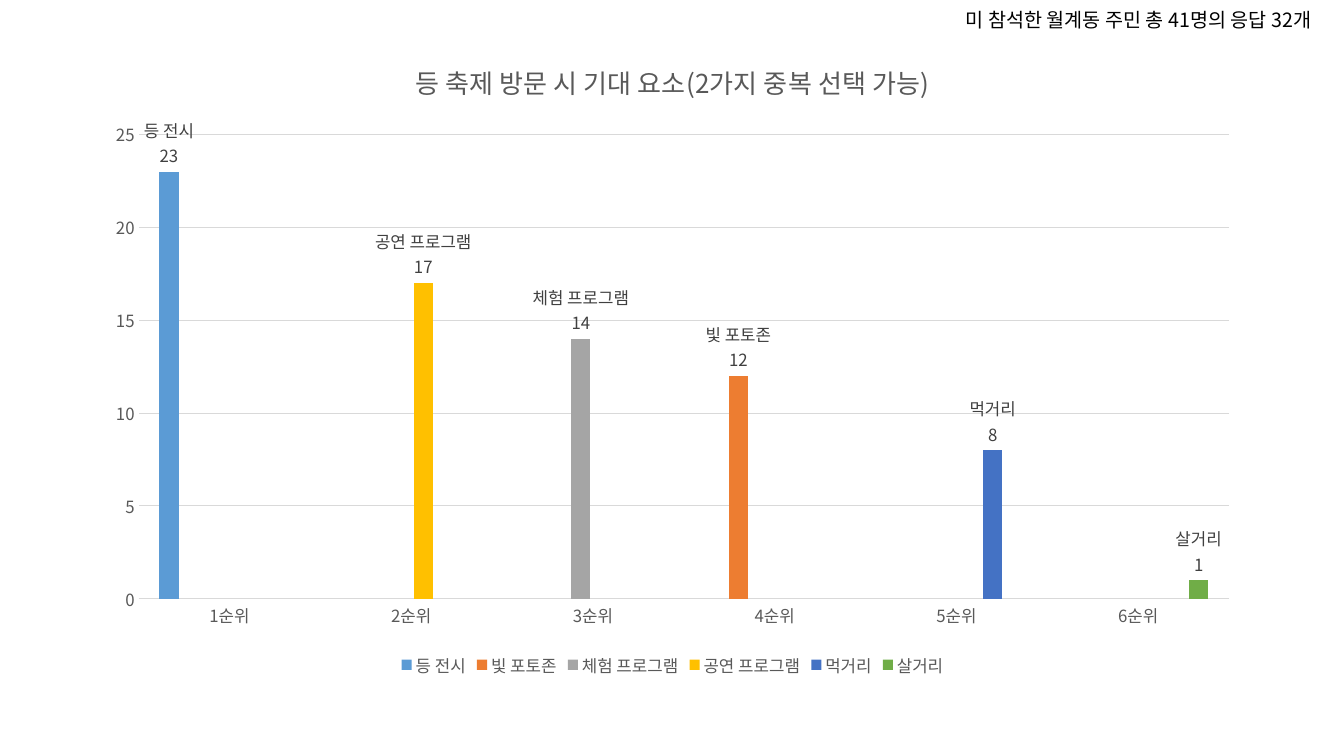
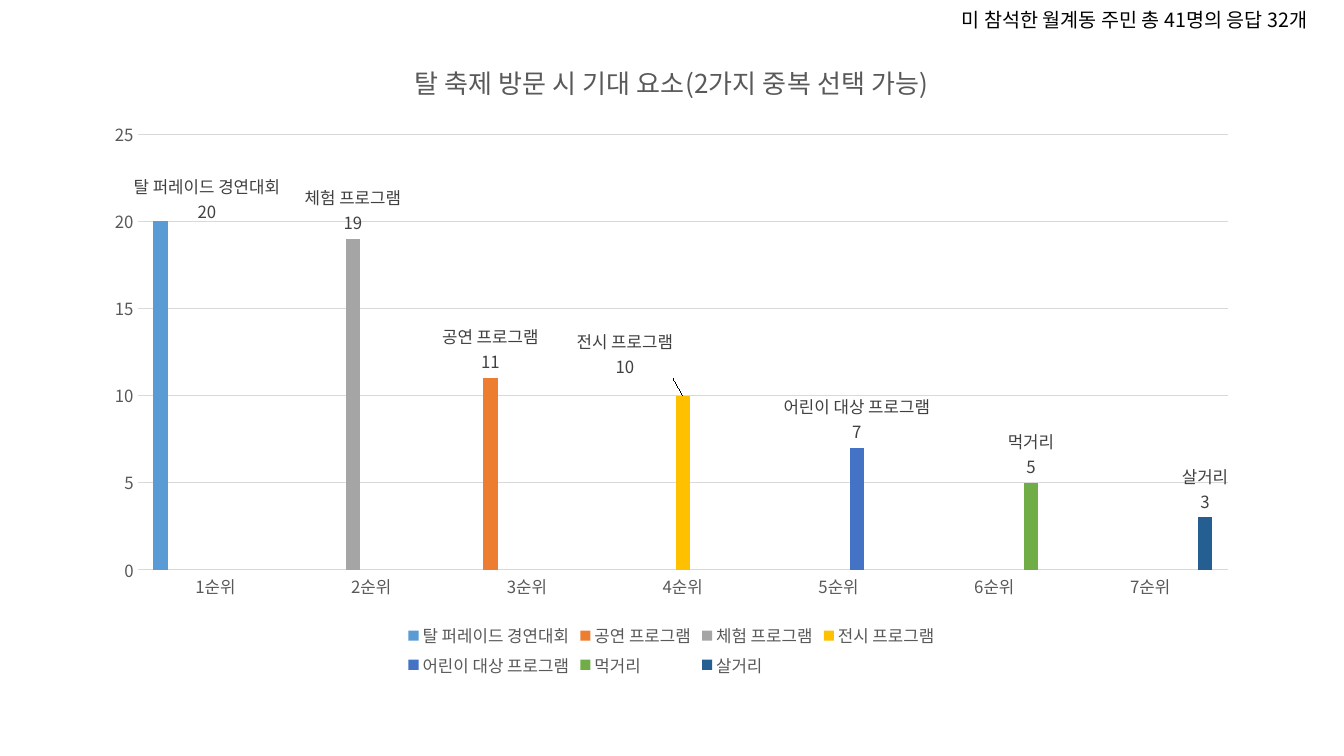
from dataclasses import dataclass, field

from lxml import etree
from pptx import Presentation
from pptx.chart.data import CategoryChartData
from pptx.chart.series import BarSeries
from pptx.dml.color import RGBColor
from pptx.enum.chart import XL_CHART_TYPE, XL_LABEL_POSITION, XL_LEGEND_POSITION, XL_TICK_MARK
from pptx.enum.text import MSO_AUTO_SIZE
from pptx.oxml.ns import qn
from pptx.slide import Slide
from pptx.text.text import Font
from pptx.util import Inches, Pt

CLUSTERED = XL_CHART_TYPE.COLUMN_CLUSTERED
OUTSIDE_END = XL_LABEL_POSITION.OUTSIDE_END
LEGEND_BOTTOM = XL_LEGEND_POSITION.BOTTOM
NO_TICK = XL_TICK_MARK.NONE
GROW = MSO_AUTO_SIZE.SHAPE_TO_FIT_TEXT

BLACK = RGBColor(0x00, 0x00, 0x00)
LABEL_GREY = RGBColor(0x40, 0x40, 0x40)
TEXT_GREY = RGBColor(0x59, 0x59, 0x59)
GRID_GREY = RGBColor(0xD9, 0xD9, 0xD9)
SERIES_COLORS = (
    RGBColor(0x5B, 0x9B, 0xD5),
    RGBColor(0xED, 0x7D, 0x31),
    RGBColor(0xA5, 0xA5, 0xA5),
    RGBColor(0xFF, 0xC0, 0x00),
    RGBColor(0x44, 0x72, 0xC4),
    RGBColor(0x70, 0xAD, 0x47),
    RGBColor(0x25, 0x5E, 0x91),
)
FONT = "Noto Sans CJK KR"
RESPONSE_NOTE = "미 참석한 월계동 주민 총 41명의 응답 32개"


@dataclass(frozen=True)
class Expectation:
    name: str
    rank: int
    votes: int
    label_shift: tuple[float, float] | None = None  # share of chart width, height


@dataclass(frozen=True)
class Survey:
    festival: str
    chart_left: float
    note_left: float
    expectations: list[Expectation] = field(default_factory=list)


SURVEYS = (
    Survey("등", 0.92, 9.48, [
        Expectation("등 전시", 1, 23),
        Expectation("빛 포토존", 4, 12),
        Expectation("체험 프로그램", 3, 14),
        Expectation("공연 프로그램", 2, 17),
        Expectation("먹거리", 5, 8),
        Expectation("살거리", 6, 1),
    ]),
    Survey("탈", 0.91, 9.44, [
        Expectation("탈 퍼레이드 경연대회", 1, 20, (0.04, 0.01)),
        Expectation("공연 프로그램", 3, 11),
        Expectation("체험 프로그램", 2, 19),
        Expectation("전시 프로그램", 4, 10, (-0.05, -0.02)),
        Expectation("어린이 대상 프로그램", 5, 7),
        Expectation("먹거리", 6, 5),
        Expectation("살거리", 7, 3),
    ]),
)


def style_font(font: Font, size: float, color: RGBColor) -> None:
    font.name = FONT
    font.size = Pt(size)
    font.bold = False
    font.color.rgb = color
    # Korean text takes the East Asian typeface
    latin = font._element.find(qn("a:latin"))
    east_asian = etree.Element(qn("a:ea"), typeface=FONT)
    latin.addnext(east_asian)


def add_separator(labels: etree._Element) -> None:
    """Put the series name and the value on separate lines."""
    separator = etree.Element(qn("c:separator"))
    separator.text = "\n"
    labels.find(qn("c:showBubbleSize")).addnext(separator)


def shift_label(series: BarSeries, point: int, shift: tuple[float, float]) -> None:
    label = series.points[point].data_label
    style_font(label.font, 12, LABEL_GREY)
    label.position = OUTSIDE_END
    element = series.data_labels._element.find(qn("c:dLbl"))
    element.find(qn("c:showSerName")).set("val", "1")
    add_separator(element)
    layout = etree.Element(qn("c:layout"))
    manual = etree.SubElement(layout, qn("c:manualLayout"))
    for axis, distance in zip("xy", shift):
        etree.SubElement(manual, qn(f"c:{axis}"), val=str(distance))
    element.find(qn("c:idx")).addnext(layout)


def style_series(series: BarSeries, item: Expectation, color: RGBColor) -> None:
    series.format.fill.solid()
    series.format.fill.fore_color.rgb = color
    labels = series.data_labels
    style_font(labels.font, 12, LABEL_GREY)
    labels.position = OUTSIDE_END
    labels.show_value = True
    labels.show_series_name = True
    add_separator(labels._element)
    if item.label_shift:
        shift_label(series, item.rank - 1, item.label_shift)


def add_survey_chart(slide: Slide, survey: Survey) -> None:
    # Each expectation is a series with one bar, at its rank
    ranks = range(1, len(survey.expectations) + 1)
    data = CategoryChartData(number_format="General")
    data.categories = [f"{rank}순위" for rank in ranks]
    for item in survey.expectations:
        data.add_series(item.name, [item.votes if rank == item.rank else None for rank in ranks])
    chart = slide.shapes.add_chart(
        CLUSTERED, Inches(survey.chart_left), Inches(0.37), Inches(11.5), Inches(6.39), data
    ).chart
    style_font(chart.font, 10, BLACK)

    # Title
    chart.has_title = True
    title = chart.chart_title
    title.include_in_layout = False
    run = title.text_frame.paragraphs[0].add_run()
    run.text = f"{survey.festival} 축제 방문 시 기대 요소(2가지 중복 선택 가능)"
    style_font(run.font, 18.6, TEXT_GREY)

    # Legend
    chart.has_legend = True
    chart.legend.position = LEGEND_BOTTOM
    chart.legend.include_in_layout = False
    style_font(chart.legend.font, 12, TEXT_GREY)

    # Axes
    for axis in (chart.category_axis, chart.value_axis):
        axis.major_tick_mark = NO_TICK
        axis.minor_tick_mark = NO_TICK
        style_font(axis.tick_labels.font, 12, TEXT_GREY)
    votes_axis = chart.value_axis
    votes_axis.minimum_scale = 0
    votes_axis.maximum_scale = 25
    votes_axis.major_unit = 5
    votes_axis.has_major_gridlines = True
    votes_axis.format.line.fill.background()
    for line in (chart.category_axis.format.line, votes_axis.major_gridlines.format.line):
        line.color.rgb = GRID_GREY
        line.width = Pt(0.75)

    # Bars
    plot = chart.plots[0]
    plot.vary_by_categories = False
    plot.gap_width = 219
    plot.overlap = -27
    for series, item, color in zip(plot.series, survey.expectations, SERIES_COLORS):
        style_series(series, item, color)


def add_response_note(slide: Slide, left: float) -> None:
    frame = slide.shapes.add_textbox(
        Inches(left), Inches(0.03), Inches(4.13), Inches(0.34)
    ).text_frame
    frame.word_wrap = False
    frame.auto_size = GROW
    run = frame.paragraphs[0].add_run()
    run.text = RESPONSE_NOTE
    style_font(run.font, 14, BLACK)


def main() -> None:
    deck = Presentation()
    deck.slide_width = Inches(13.33)
    deck.slide_height = Inches(7.5)
    blank = deck.slide_layouts[6]
    for survey in SURVEYS:
        slide = deck.slides.add_slide(blank)
        add_survey_chart(slide, survey)
        add_response_note(slide, survey.note_left)
    deck.save("out.pptx")


if __name__ == "__main__":
    main()
